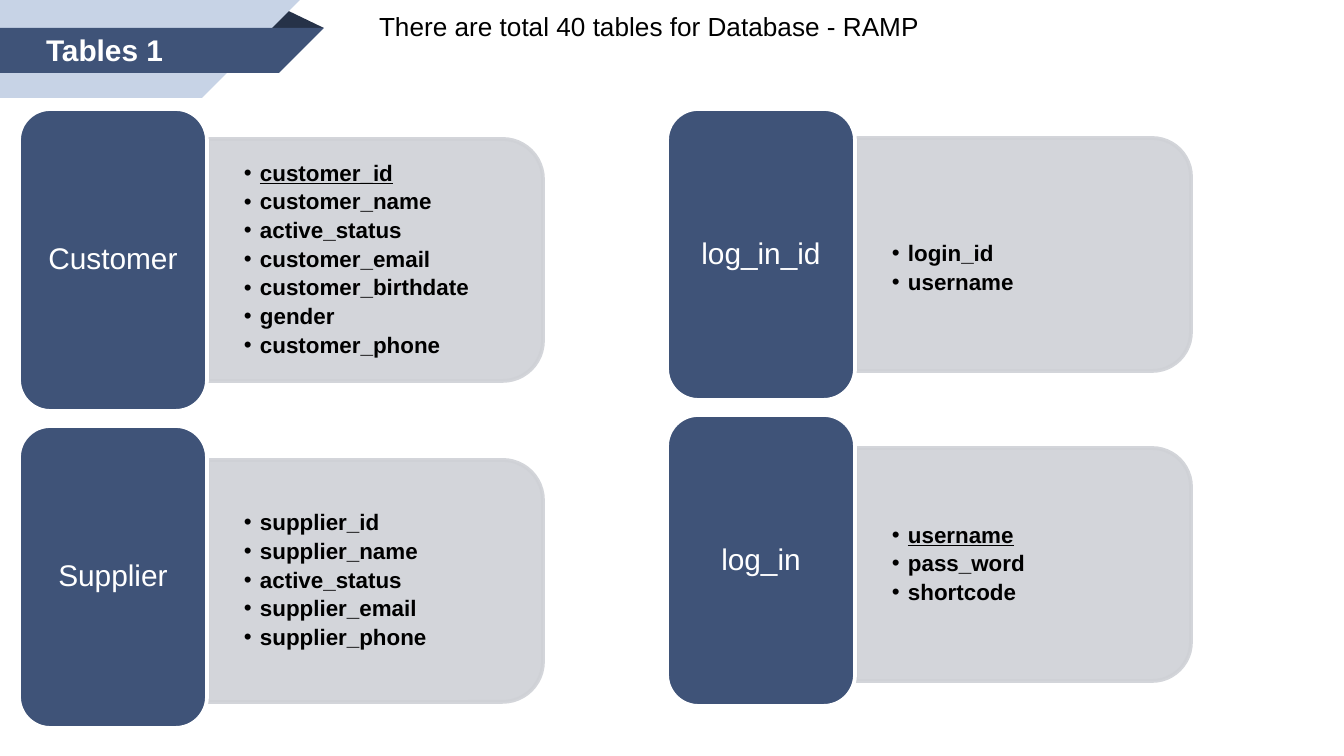
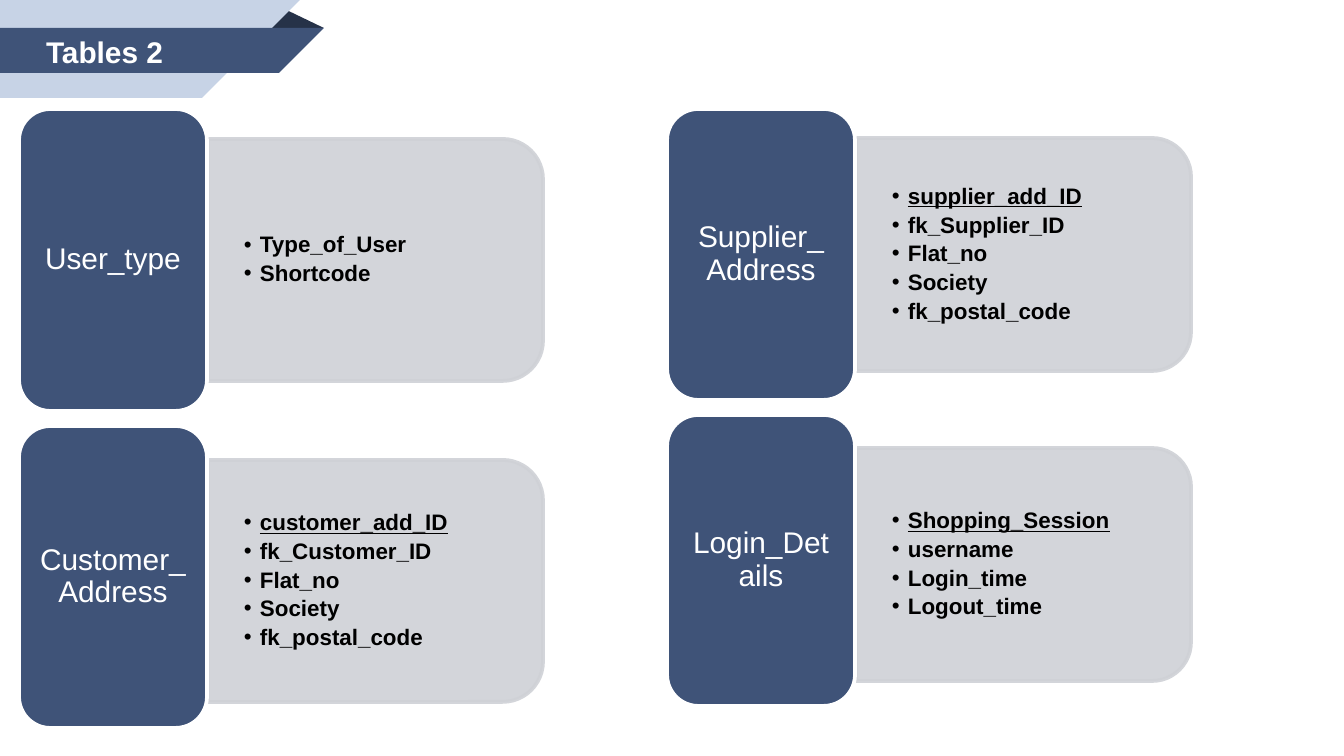
from pptx import Presentation
from pptx.dml.color import RGBColor
from pptx.enum.shapes import MSO_SHAPE
from pptx.enum.text import MSO_ANCHOR, MSO_AUTO_SIZE, PP_ALIGN
from pptx.oxml.ns import qn
from pptx.util import Emu, Pt
from lxml import etree

RECT = MSO_SHAPE.RECTANGLE
WEDGE = MSO_SHAPE.RIGHT_TRIANGLE
FOLD = MSO_SHAPE.ISOSCELES_TRIANGLE
ROUND = MSO_SHAPE.ROUNDED_RECTANGLE
HALF = MSO_SHAPE.ROUND_2_SAME_RECTANGLE
TOP, MIDDLE = MSO_ANCHOR.TOP, MSO_ANCHOR.MIDDLE
LEFT, CENTER = PP_ALIGN.LEFT, PP_ALIGN.CENTER
FIXED = MSO_AUTO_SIZE.NONE

COLORS = {"navy": "3F5378", "dark": "263248", "pale": "C7D3E6",
          "gray": "CFD1D6", "white": "FFFFFF", "black": "000000"}
FONT = "Arial"
SCALE = 914400 / 134.4
WIDE, HIGH = 1344, 756

# Each card: name, key field (underlined) or None, other fields, extra top inset
SLIDES = [
    {"title": "Tables 1", "top": 26,
     "note": "There are total 40 tables for Database - RAMP",
     "cards": [
         ("Customer", "customer_id",
          ["customer_name", "active_status", "customer_email",
           "customer_birthdate", "gender", "customer_phone"], 0),
         ("Supplier", None,
          ["supplier_id", "supplier_name", "active_status",
           "supplier_email", "supplier_phone"], 0),
         ("log_in_id", None, ["login_id", "username"], 28),
         ("log_in", "username", ["pass_word", "shortcode"], 0)]},
    {"title": "Tables 2", "top": 28, "note": None,
     "cards": [
         ("User_type", None, ["Type_of_User", "Shortcode"], 0),
         ("Customer_Address", "customer_add_ID",
          ["fk_Customer_ID", "Flat_no", "Society", "fk_postal_code"], 0),
         ("Supplier_ Address", "supplier_add_ID",
          ["fk_Supplier_ID", "Flat_no", "Society", "fk_postal_code"], 0),
         ("Login_Details", "Shopping_Session",
          ["username", "Login_time", "Logout_time"], 0)]},
]

BANDS = [
    (FOLD, "dark", (266, 9, 58, 19), 0),
    (RECT, "pale", (0, 0, 202, 98), 0),
    (WEDGE, "pale", (202, 0, 98, 98), 90),
    (RECT, "navy", (0, 28, 279, 45), 0),
    (WEDGE, "navy", (279, 28, 45, 45), 90),
]
COLS = [(19, 302), (667, 291)]
START, GAP, TAB, PANEL, BODY, DROP = 109, 15, 188, 335, 324, 4


def px(num):
    return Emu(round(num * SCALE))


def rgb(name):
    return RGBColor.from_string(COLORS[name])


def place(shape, box):
    shape.left, shape.top, shape.width, shape.height = map(px, box)


def draw(slide, kind, color, box, turn=0, edge=None):
    shape = slide.shapes.add_shape(kind, *map(px, box))
    shape.shadow.inherit = False
    shape.rotation = turn
    shape.fill.solid()
    shape.fill.fore_color.rgb = rgb(color)
    if edge:
        shape.line.color.rgb = rgb(edge)
        shape.line.width = Pt(2)
    else:
        shape.line.fill.background()
    return shape


def fade(shape, part):
    for color in shape.element.spPr.iter(qn("a:srgbClr")):
        etree.SubElement(color, qn("a:alpha"), val=str(part * 1000))


def frame(shape, anchor, pads):
    box = shape.text_frame
    box.word_wrap = True
    box.auto_size = FIXED
    box.vertical_anchor = anchor
    (box.margin_left, box.margin_top,
     box.margin_right, box.margin_bottom) = map(px, pads)
    return box


def write(para, text, size, color, bold=False, line=False, align=LEFT):
    para.alignment = align
    para.space_before = Pt(0)
    run = para.add_run()
    run.text = text
    font = run.font
    font.name, font.size, font.bold = FONT, Pt(size), bold
    font.underline = line
    font.color.rgb = rgb(color)


def bullet(para):
    para.level = 1
    para.line_spacing = 0.9
    para.space_after = Pt(2.4)
    props = para._p.get_or_add_pPr()
    props.set("marL", str(px(16)))
    props.set("indent", str(px(-16)))
    tint = etree.SubElement(props, qn("a:buClr"))
    etree.SubElement(tint, qn("a:srgbClr"), val=COLORS["black"])
    etree.SubElement(props, qn("a:buFont"), typeface=FONT)
    etree.SubElement(props, qn("a:buChar"), char="•")


def lift(shape):
    shape.element.getparent().append(shape.element)


def card(slide, spot, data):
    name, key, fields, lead = data
    col, row = divmod(spot, 2)
    left, tall = COLS[col]
    top = START + row * (tall + GAP)
    mid = top + tall / 2 + row * DROP
    edge = left + TAB + 1
    deep = round(tall * 0.8)

    panel = draw(slide, HALF, "gray",
                 (edge + (PANEL - deep) / 2, mid - PANEL / 2, deep, PANEL),
                 90, "gray")
    fade(panel, 90)

    body = slide.placeholders[spot + 1]
    place(body, (edge, mid - deep * 0.45, BODY, deep * 0.9))
    box = frame(body, MIDDLE, (36, 19 + lead, 36, 19))
    for num, text in enumerate([key] * bool(key) + fields):
        para = box.add_paragraph() if num else box.paragraphs[0]
        bullet(para)
        write(para, text, 12, "black", True, text == key)
    lift(body)

    tab = draw(slide, ROUND, "navy", (left, top, TAB, tall), 0, "white")
    para = frame(tab, MIDDLE, (9, 4, 9, 4)).paragraphs[0]
    para.line_spacing = 0.9
    write(para, name, 16, "white", align=CENTER)


def build(deck, data):
    slide = deck.slides.add_slide(deck.slide_layouts.get_by_name("Comparison"))
    for kind, color, box, turn in BANDS:
        shape = draw(slide, kind, color, box, turn)
        if kind == FOLD:
            shape.adjustments[0] = 0.32

    title = slide.shapes.title
    place(title, (34, data["top"], 208, 50))
    head = frame(title, TOP, (12, 6, 12, 6)).paragraphs[0]
    write(head, data["title"], 16, "white", True)
    lift(title)

    for spot, item in enumerate(data["cards"]):
        card(slide, spot, item)

    if data["note"]:
        note = slide.shapes.add_textbox(*map(px, (367, 4, 871, 46)))
        para = frame(note, TOP, (12, 6, 12, 6)).paragraphs[0]
        write(para, data["note"], 14, "black")


def main():
    deck = Presentation()
    deck.slide_width, deck.slide_height = px(WIDE), px(HIGH)
    for data in SLIDES:
        build(deck, data)
    deck.save("out.pptx")


if __name__ == "__main__":
    main()
